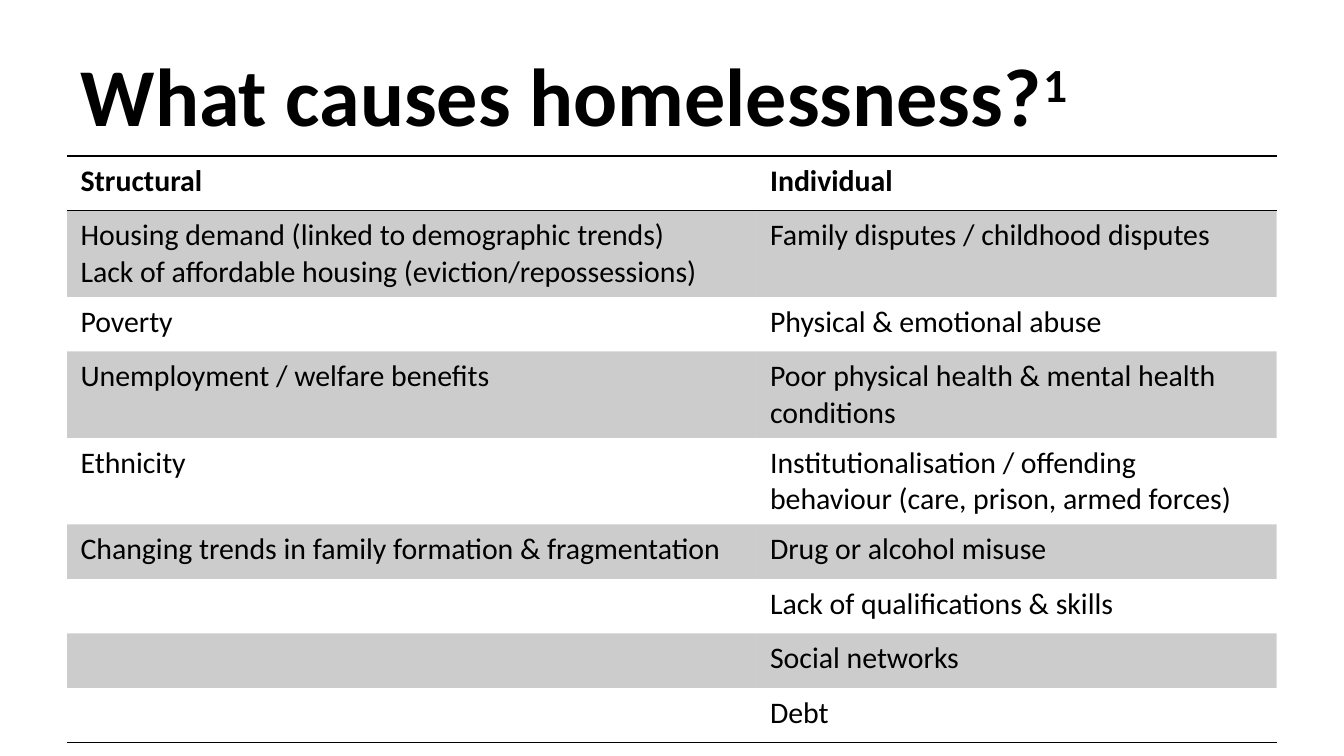
from dataclasses import dataclass

from lxml import etree
from pptx import Presentation
from pptx import util as u
from pptx.dml.color import RGBColor
from pptx.enum import text
from pptx.oxml.ns import qn


@dataclass(frozen=True)
class Theme:
    font: str = "Calibri"
    ink: RGBColor = RGBColor(0, 0, 0)
    band_alpha: int = 20  # percent
    title_size: int = 44
    body_size: int = 16
    rule_width: int = 1


THEME = Theme()
SLIDE_WIDTH = 10
SLIDE_HEIGHT = SLIDE_WIDTH * 9 / 16
ROW_HEIGHT = 29.2 / 72  # 29.2 points in inches
NO_STYLE = "{2D5ABB26-0587-4C30-8999-92F81FD0307C}"

# One entry per row; a line break starts a new paragraph
CAUSES = [
    ("Structural", "Individual"),
    ("Housing demand (linked to demographic trends)\n"
     "Lack of affordable housing (eviction/repossessions)",
     "Family disputes / childhood disputes"),
    ("Poverty", "Physical & emotional abuse"),
    ("Unemployment / welfare benefits",
     "Poor physical health & mental health conditions"),
    ("Ethnicity",
     "Institutionalisation / offending behaviour (care, prison, armed forces)"),
    ("Changing trends in family formation & fragmentation",
     "Drug or alcohol misuse"),
    ("", "Lack of qualifications & skills"),
    ("", "Social networks"),
    ("", "Debt"),
]


def style_paragraph(p, size, bold):
    p.alignment = text.PP_ALIGN.LEFT
    p.font.name = THEME.font
    p.font.size = u.Pt(size)
    p.font.bold = bold
    p.font.color.rgb = THEME.ink


def add_rule(cell, side):
    """Draw a border on the cell's top ("T") or bottom ("B")."""
    tc_pr = cell._tc.get_or_add_tcPr()
    ln = etree.SubElement(tc_pr, qn("a:ln" + side),
                          w=str(u.Pt(THEME.rule_width)))
    fill = etree.SubElement(ln, qn("a:solidFill"))
    etree.SubElement(fill, qn("a:srgbClr"), val=str(THEME.ink))


def fill_band(cell):
    cell.fill.solid()
    cell.fill.fore_color.rgb = THEME.ink
    color = cell._tc.tcPr.find(qn("a:solidFill")).find(qn("a:srgbClr"))
    etree.SubElement(color, qn("a:alpha"), val=str(THEME.band_alpha * 1000))


def place_title(slide, left, top, width, height):
    title = slide.shapes.title
    title.left, title.top = u.Inches(left), u.Inches(top)
    title.width, title.height = u.Inches(width), u.Inches(height)
    tf = title.text_frame
    tf.auto_size = text.MSO_AUTO_SIZE.NONE
    tf.vertical_anchor = text.MSO_ANCHOR.MIDDLE
    p = tf.paragraphs[0]
    p.add_run().text = "What causes homelessness?"
    # Superscript reference mark
    r = p.add_run()
    r.text = "1"
    r.font._element.set("baseline", "30000")
    style_paragraph(p, THEME.title_size, True)


def add_causes_table(slide, left, top, width, row_height):
    last = len(CAUSES) - 1
    frame = slide.shapes.add_table(
        len(CAUSES), 2, u.Inches(left), u.Inches(top),
        u.Inches(width), u.Inches(row_height * len(CAUSES)))
    table = frame.table
    table._tbl.tblPr.find(qn("a:tableStyleId")).text = NO_STYLE
    first_width = round(width * 0.57, 2)
    table.columns[0].width = u.Inches(first_width)
    table.columns[1].width = u.Inches(width - first_width)

    for i, row in enumerate(CAUSES):
        table.rows[i].height = u.Inches(row_height)
        for j, words in enumerate(row):
            cell = table.cell(i, j)
            cell.text = words
            for p in cell.text_frame.paragraphs:
                style_paragraph(p, THEME.body_size, i == 0)
            # Rules around the header and below the last row
            if i == 0:
                add_rule(cell, "T")
            if i in (0, last):
                add_rule(cell, "B")
            # Every second row is shaded
            if i % 2:
                fill_band(cell)
            else:
                cell.fill.background()


def main():
    prs = Presentation()
    prs.slide_width = u.Inches(SLIDE_WIDTH)
    prs.slide_height = u.Inches(SLIDE_HEIGHT)
    slide = prs.slides.add_slide(prs.slide_layouts[5])
    place_title(slide, 0.5, 0.23, 9, 0.94)
    add_causes_table(slide, 0.5, 1.16, 9, ROW_HEIGHT)
    prs.save("out.pptx")


if __name__ == "__main__":
    main()
